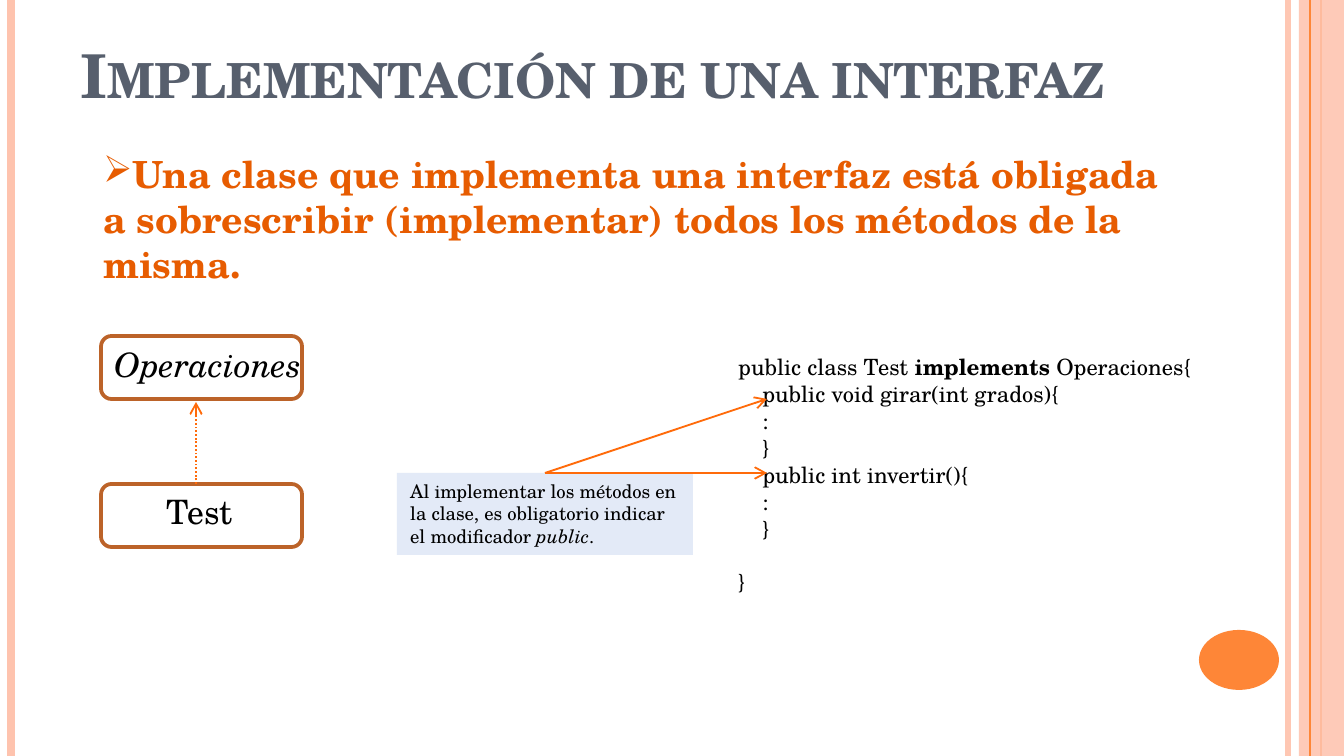
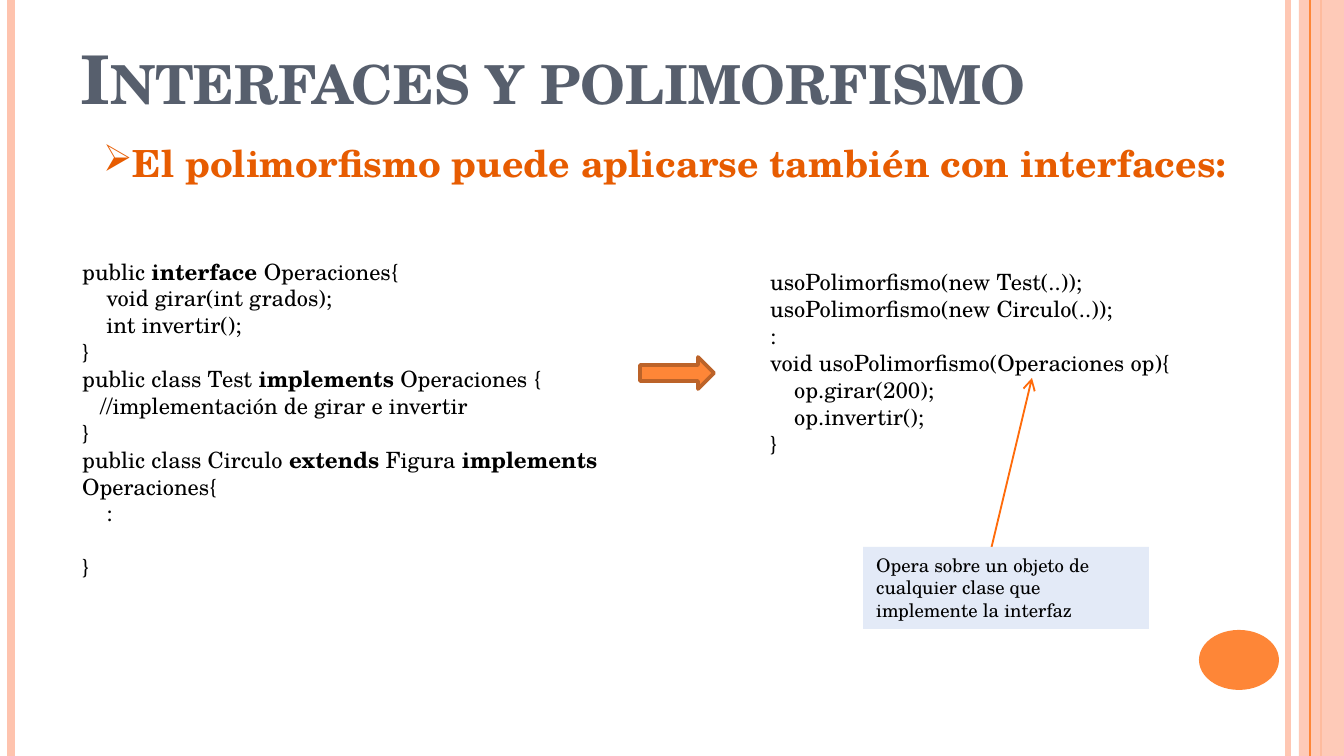
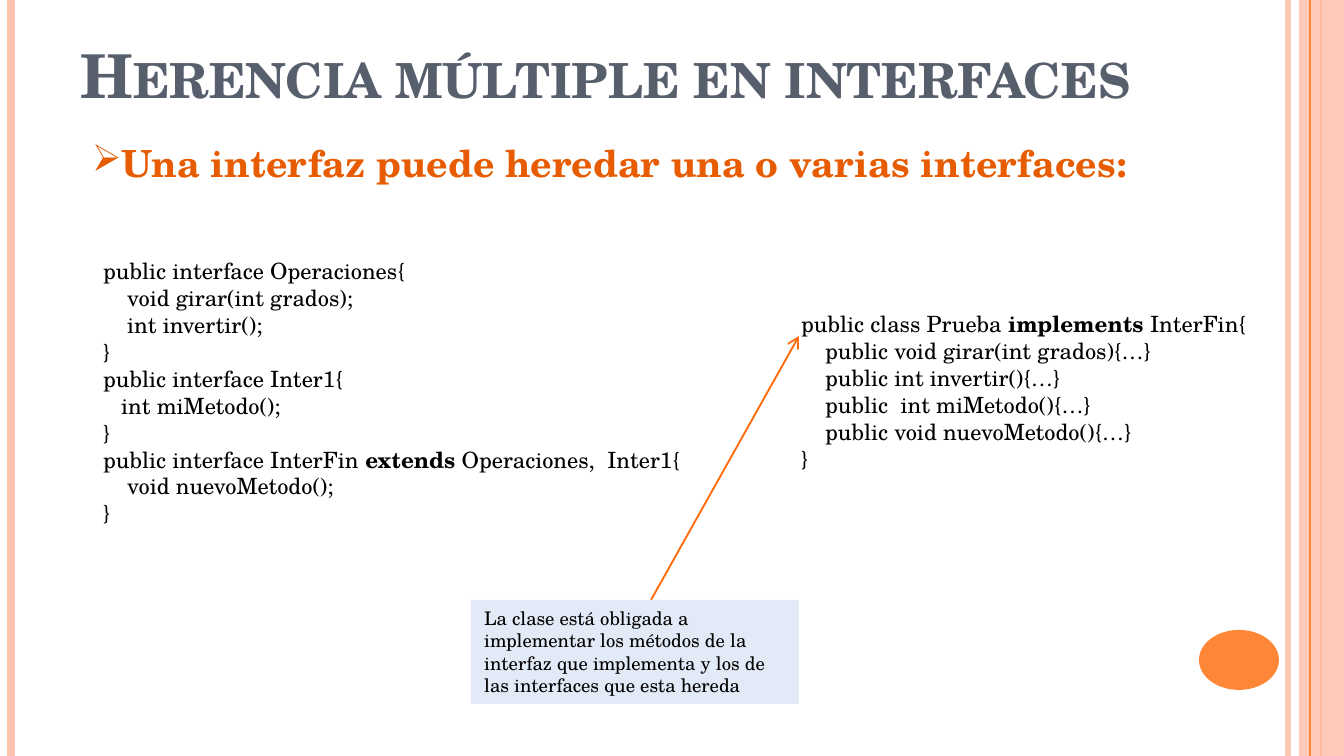
from lxml import etree
from pptx import Presentation
from pptx.dml.color import RGBColor
from pptx.enum.dml import MSO_LINE
from pptx.enum.shapes import MSO_CONNECTOR, MSO_SHAPE
from pptx.enum.text import MSO_ANCHOR, MSO_AUTO_SIZE, PP_ALIGN
from pptx.oxml.ns import qn
from pptx.util import Emu, Pt

STRAIGHT = MSO_CONNECTOR.STRAIGHT
RECT, ELLIPSE = MSO_SHAPE.RECTANGLE, MSO_SHAPE.OVAL
ROUNDED, RIGHT_ARROW = MSO_SHAPE.ROUNDED_RECTANGLE, MSO_SHAPE.RIGHT_ARROW
DOTTED = MSO_LINE.ROUND_DOT
TOP, LEFT = MSO_ANCHOR.TOP, PP_ALIGN.LEFT
FIXED, GROW = MSO_AUTO_SIZE.NONE, MSO_AUTO_SIZE.SHAPE_TO_FIT_TEXT

WIDTH, HEIGHT = 1344, 756
EMU_PER_PX = 9144000 / WIDTH
FONT = "TeX Gyre Schola"
TITLE_ONLY = 5
SPACE_WIDTH = 6
CODE_LINE = 14.4
COLORS = {
    "title": "575F6D",
    "statement": "E75C01",
    "text": "000000",
    "accent": "FE8637",
    "border": "BC6329",
    "arrow": "FF6B0A",
    "band": "FEC3AE",
    "note": "E3EAF7",
}


def px(length):
    return Emu(round(length * EMU_PER_PX))


def rgb(name):
    return RGBColor.from_string(COLORS[name])


def set_opacity(shape, percent):
    for color in shape.element.iter(qn("a:srgbClr")):
        etree.SubElement(color, qn("a:alpha")).set("val", str(percent * 1000))


class Deck:
    def __init__(self):
        self.prs = Presentation()
        self.prs.slide_width, self.prs.slide_height = px(WIDTH), px(HEIGHT)
        self.slide = None

    def new_slide(self, title, size):
        layout = self.prs.slide_layouts[TITLE_ONLY]
        self.slide = self.prs.slides.add_slide(layout)
        self.frame_bands()
        heading = self.slide.shapes.title
        heading.left, heading.top, heading.width, heading.height = map(
            px, (67, 31, 1098, 126))
        paragraph = self.prepare(heading, FIXED).paragraphs[0]
        self.add_runs(paragraph, title, size, "title", bold=True)
        for run in paragraph.runs:
            run._r.get_or_add_rPr().set("cap", "small")

    def frame_bands(self):
        set_opacity(self.line((1288, 0), (1288, HEIGHT), "band", 3), 93)
        self.line((11, 0), (11, HEIGHT), "band", 4.5)
        self.line((1321, 0), (1321, HEIGHT), "accent", 1.5)
        set_opacity(self.shape(RECT, (1299, 0, 45, HEIGHT), "band"), 87)
        self.line((1310, 0), (1310, HEIGHT), "accent", 0.75)
        self.shape(ELLIPSE, (1199, 630, 80, 60), "accent")

    def prepare(self, shape, auto_size):
        frame = shape.text_frame
        frame.word_wrap = True
        frame.auto_size = auto_size
        frame.vertical_anchor = TOP
        return frame

    def add_runs(self, paragraph, text, size, color="text", bold=False,
                 italic=False, stress="bold"):
        """Add text as runs; parts between asterisks get the stress."""
        paragraph.alignment = LEFT
        for i, part in enumerate(text.split("*")):
            if not part:
                continue
            run = paragraph.add_run()
            run.text = part
            font = run.font
            font.name, font.size = FONT, Pt(size)
            font.bold, font.italic = bold, italic
            font.color.rgb = rgb(color)
            if i % 2:
                setattr(font, stress, True)

    def text_box(self, box, auto_size=GROW):
        return self.prepare(self.slide.shapes.add_textbox(*map(px, box)), auto_size)

    def label(self, box, text, italic=False):
        self.add_runs(self.text_box(box).paragraphs[0], text, 18, italic=italic)

    def set_indent(self, paragraph, indent):
        properties = paragraph._p.get_or_add_pPr()
        properties.set("marL", str(px(indent)))
        properties.set("indent", "0")
        return properties

    def statement(self, box, text, space_after=12):
        paragraph = self.text_box(box, FIXED).paragraphs[0]
        paragraph.space_before, paragraph.space_after = Pt(6), Pt(space_after)
        properties = self.set_indent(paragraph, 0)
        etree.SubElement(properties, qn("a:buChar")).set("char", "➢")
        self.add_runs(paragraph, text, 20, "statement", bold=True)

    def code_block(self, box, listing):
        """Leading spaces become indents and empty lines become spacing."""
        frame = self.text_box(box)
        paragraph, gap = frame.paragraphs[0], 0
        for number, line in enumerate(listing.strip().splitlines()):
            statement = line.lstrip()
            if not statement:
                gap += CODE_LINE
                continue
            if number:
                paragraph = frame.add_paragraph()
            paragraph.space_before, gap = Pt(gap), 0
            self.set_indent(paragraph, (len(line) - len(statement)) * SPACE_WIDTH)
            self.add_runs(paragraph, statement, 12)

    def shape(self, kind, box, fill=None, border=None):
        shape = self.slide.shapes.add_shape(kind, *map(px, box))
        shape.shadow.inherit = False
        if fill:
            shape.fill.solid()
            shape.fill.fore_color.rgb = rgb(fill)
        else:
            shape.fill.background()
        if border:
            shape.line.color.rgb = rgb(border)
            shape.line.width = Pt(2)
        else:
            shape.line.fill.background()
        return shape

    def note(self, box, text):
        note = self.shape(RECT, box, "note")
        frame = self.prepare(note, GROW)
        self.add_runs(frame.paragraphs[0], text, 10, stress="italic")
        return note

    def line(self, start, end, color, width):
        line = self.slide.shapes.add_connector(STRAIGHT, *map(px, start + end))
        line.line.color.rgb = rgb(color)
        line.line.width = Pt(width)
        etree.SubElement(line.element.spPr, qn("a:effectLst"))
        return line

    def arrow(self, start, end, dash=None):
        arrow = self.line(start, end, "arrow", 1)
        if dash:
            arrow.line.dash_style = dash
        outline = arrow.element.spPr.find(qn("a:ln"))
        etree.SubElement(outline, qn("a:tailEnd")).set("type", "arrow")
        return arrow


def implementation_slide(deck):
    deck.new_slide("Implementación de una interfaz", 32.4)
    deck.statement((90, 145, 1090, 199),
                   "Una clase que implementa una interfaz está obligada a "
                   "sobrescribir (implementar) todos los métodos de la misma.")
    deck.code_block((725, 347, 540, 258), """
public class Test *implements* Operaciones{
    public void girar(int grados){
    :
    }
    public int invertir(){
    :
    }

}
""")
    note = deck.note((397, 473, 296, 82),
                     "Al implementar los métodos en la clase, es obligatorio "
                     "indicar el modificador *public*.")
    for method_y in (399, 473):
        deck.arrow((545, 473), (767, method_y)).begin_connect(note, 0)
    for box_y in (336, 484):
        deck.shape(ROUNDED, (101, box_y, 201, 63), border="border")
    deck.label((101, 337, 222, 54), "Operaciones", italic=True)
    deck.label((153, 484, 117, 54), "Test")
    deck.arrow((196, 484), (196, 402), DOTTED)


def polymorphism_slide(deck):
    deck.new_slide("Interfaces y polimorfismo", 36)
    deck.statement((90, 134, 1164, 199),
                   "El polimorfismo puede aplicarse también con interfaces:")
    deck.code_block((69, 251, 593, 339), """
public *interface *Operaciones{
    void girar(int grados);
    int invertir();
}
public class Test *implements* Operaciones {
   //implementación de girar e invertir
}
public class Circulo *extends* Figura *implements* Operaciones{
    :

}
""")
    deck.code_block((757, 262, 465, 231), """
usoPolimorfismo(new Test(..));
usoPolimorfismo(new Circulo(..));
:
void usoPolimorfismo(Operaciones op){
    op.girar(200);
    op.invertir();
}
""")
    deck.shape(RIGHT_ARROW, (640, 357, 74, 32), "accent", "border")
    deck.arrow((989, 558), (1032, 378))
    deck.note((863, 547, 286, 82),
              "Opera sobre un objeto de cualquier clase que implemente la interfaz")


def inheritance_slide(deck):
    deck.new_slide("Herencia múltiple en interfaces", 32.4)
    deck.statement((79, 134, 1101, 199),
                   "Una interfaz puede heredar una o varias interfaces:",
                   space_after=0)
    deck.code_block((90, 251, 625, 285), """
public interface Operaciones{
    void girar(int grados);
    int invertir();
}
public interface Inter1{
   int miMetodo();
}
public interface InterFin *extends* Operaciones,  Inter1{
    void nuevoMetodo();
}
""")
    deck.arrow((651, 600), (799, 336))
    deck.note((471, 600, 328, 104),
              "La clase está obligada a implementar los métodos de la interfaz "
              "que implementa y los de las interfaces que esta hereda")
    deck.code_block((788, 304, 487, 177), """
public class Prueba *implements *InterFin{
    public void girar(int grados){…}
    public int invertir(){…}
    public  int miMetodo(){…}
    public void nuevoMetodo(){…}
}
""")


def main():
    deck = Deck()
    implementation_slide(deck)
    polymorphism_slide(deck)
    inheritance_slide(deck)
    deck.prs.save("out.pptx")


if __name__ == "__main__":
    main()
